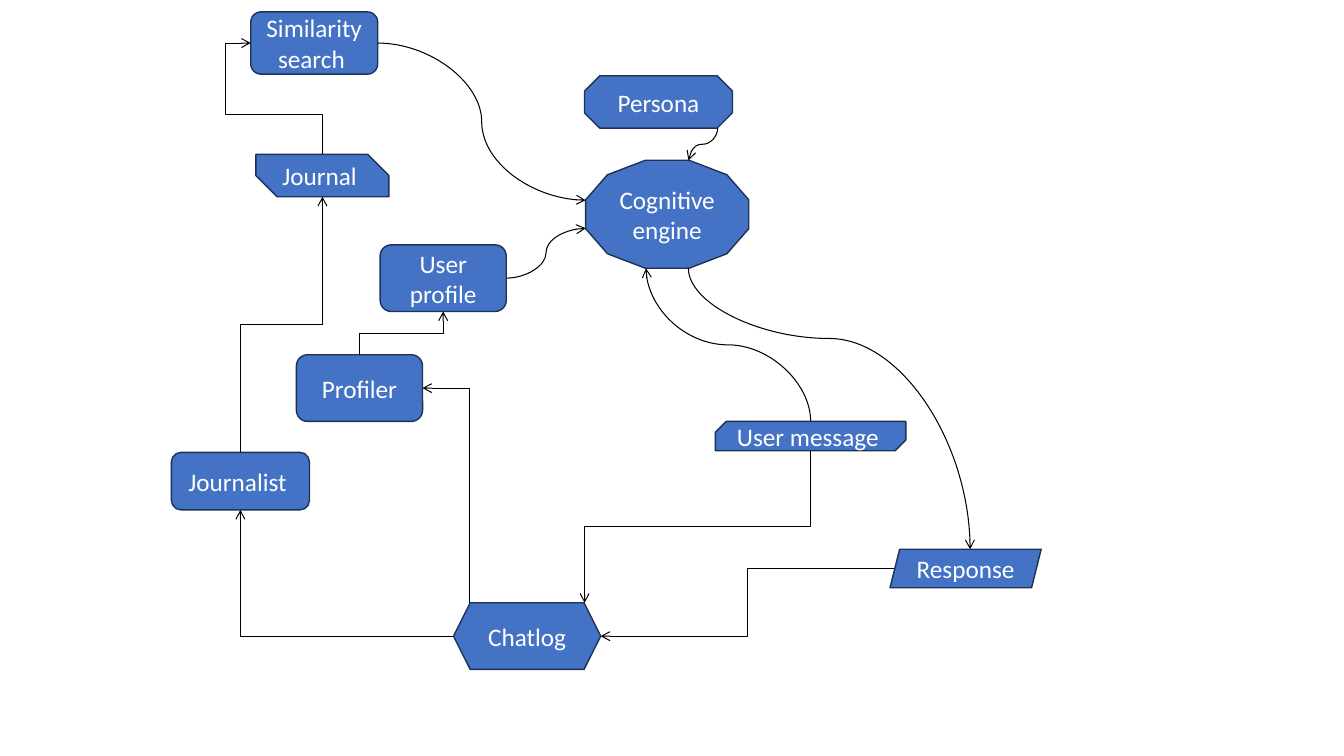
"""Build the flow diagram of a chat assistant with memory and a cognitive engine."""
from lxml.etree import SubElement
from pptx import Presentation
from pptx.dml.color import RGBColor
from pptx.enum.shapes import MSO_CONNECTOR as LINE, MSO_SHAPE as SHAPE
from pptx.enum.text import MSO_ANCHOR, PP_ALIGN
from pptx.oxml.ns import qn
from pptx.util import Cm, Pt

COLORS = {"fill": "4472C4", "edge": "1E3256", "text": "FFFFFF", "arrow": "000000"}
FONT = {"name": "Calibri", "size": Pt(18)}

# text, shape, (left, top, width, height) in cm, adjustments
NODES = {
    "persona": ("Persona", SHAPE.OCTAGON, (14.73, 1.91, 3.73, 1.32), ()),
    "response": ("Response", SHAPE.PARALLELOGRAM, (22.43, 13.84, 3.81, 0.97), ()),
    "message": ("User message ", SHAPE.SNIP_2_DIAG_RECTANGLE, (18.03, 10.62, 4.8, 0.74), (0.37, 0)),
    "profiler": ("Profiler", SHAPE.ROUNDED_RECTANGLE, (7.47, 8.94, 3.18, 1.68), ()),
    "search": ("Similarity search ", SHAPE.ROUNDED_RECTANGLE, (6.32, 0.3, 3.2, 1.57), ()),
    "journalist": ("Journalist ", SHAPE.ROUNDED_RECTANGLE, (4.32, 11.4, 3.48, 1.45), ()),
    "journal": ("Journal ", SHAPE.SNIP_2_DIAG_RECTANGLE, (6.45, 3.89, 3.35, 1.07), (0, 0.5)),
    "profile": ("User profile", SHAPE.ROUNDED_RECTANGLE, (9.58, 6.17, 3.18, 1.68), ()),
    "chatlog": ("Chatlog", SHAPE.HEXAGON, (11.43, 15.19, 3.71, 1.68), ()),
    "engine": ("Cognitive engine", SHAPE.DODECAGON, (14.76, 4.04, 4.11, 2.72), ()),
}

TOP, LEFT, BOTTOM, RIGHT = (0.5, 0), (0, 0.5), (0.5, 1), (1, 0.5)

# source, port, target, port, leaves vertically, geometry, adjustments
# a port is the fraction of the node's width and height
LINKS = [
    ("chatlog", (0.11, 0), "profiler", RIGHT, True, "bentConnector2", ()),
    ("message", BOTTOM, "chatlog", (0.89, 0), True, "bentConnector3", (0.5,)),
    ("response", (0.03, 0.5), "chatlog", RIGHT, False, "bentConnector3", (0.5,)),
    ("chatlog", LEFT, "journalist", BOTTOM, False, "bentConnector2", ()),
    ("journalist", TOP, "journal", BOTTOM, True, "bentConnector3", (0.5,)),
    ("journal", TOP, "search", LEFT, True, "bentConnector4", (0.36, 1.35)),
    ("profiler", TOP, "profile", BOTTOM, True, "bentConnector3", (0.5,)),
    ("engine", (0.63, 1), "response", (0.53, 0), True, "curvedConnector3", (0.25,)),
    ("message", TOP, "engine", (0.37, 1), True, "curvedConnector3", (0.5,)),
    ("profile", RIGHT, "engine", (0, 0.63), False, "curvedConnector3", (0.5,)),
    ("persona", (0.9, 1), "engine", (0.63, 0), True, "curvedConnector3", (0.5,)),
    ("search", RIGHT, "engine", (0, 0.37), False, "curvedConnector3", (0.5,)),
]


def rgb(name):
    return RGBColor.from_string(COLORS[name])


def add_node(slide, text, shape, box, adjustments):
    sp = slide.shapes.add_shape(shape, *map(Cm, box))
    sp.shadow.inherit = False
    sp.fill.solid()
    sp.fill.fore_color.rgb = rgb("fill")
    sp.line.color.rgb = rgb("edge")
    sp.line.width = Pt(1)
    for i, value in enumerate(adjustments):
        sp.adjustments[i] = value
    tf = sp.text_frame
    tf.word_wrap = True
    tf.vertical_anchor = MSO_ANCHOR.MIDDLE
    p = tf.paragraphs[0]
    p.alignment = PP_ALIGN.CENTER
    r = p.add_run()
    r.text = text
    for key, value in FONT.items():
        setattr(r.font, key, value)
    r.font.color.rgb = rgb("text")


def port_point(node, port):
    left, top, width, height = NODES[node][2]
    return left + port[0] * width, top + port[1] * height


def add_link(slide, source, out_port, target, in_port, vertical, geometry, adjustments):
    x1, y1 = port_point(source, out_port)
    x2, y2 = port_point(target, in_port)
    if vertical:
        mx, my, dx, dy = (x1 + x2) / 2, (y1 + y2) / 2, (x2 - x1) / 2, (y2 - y1) / 2
        x1, y1, x2, y2 = mx - dy, my + dx, mx + dy, my - dx
    kind = LINE.CURVE if geometry.startswith("curved") else LINE.ELBOW
    c = slide.shapes.add_connector(kind, *map(Cm, (x1, y1, x2, y2)))
    c.line.color.rgb = rgb("arrow")
    c.line.width = Pt(0.75)
    sp_pr = c._element.spPr
    if vertical:
        sp_pr.find(qn("a:xfrm")).set("rot", "5400000")
    geom = sp_pr.find(qn("a:prstGeom"))
    geom.set("prst", geometry)
    guides = geom.find(qn("a:avLst"))
    for i, value in enumerate(adjustments, 1):
        SubElement(guides, qn("a:gd"), name=f"adj{i}", fmla=f"val {round(value * 100000)}")
    SubElement(sp_pr.find(qn("a:ln")), qn("a:tailEnd"), type="arrow")
    SubElement(sp_pr, qn("a:effectLst"))


def main():
    prs = Presentation()
    prs.slide_width, prs.slide_height = Cm(33.87), Cm(19.05)
    s = prs.slides.add_slide(prs.slide_layouts[6])
    for node in NODES.values():
        add_node(s, *node)
    for link in LINKS:
        add_link(s, *link)
    prs.save("out.pptx")


if __name__ == "__main__":
    main()
